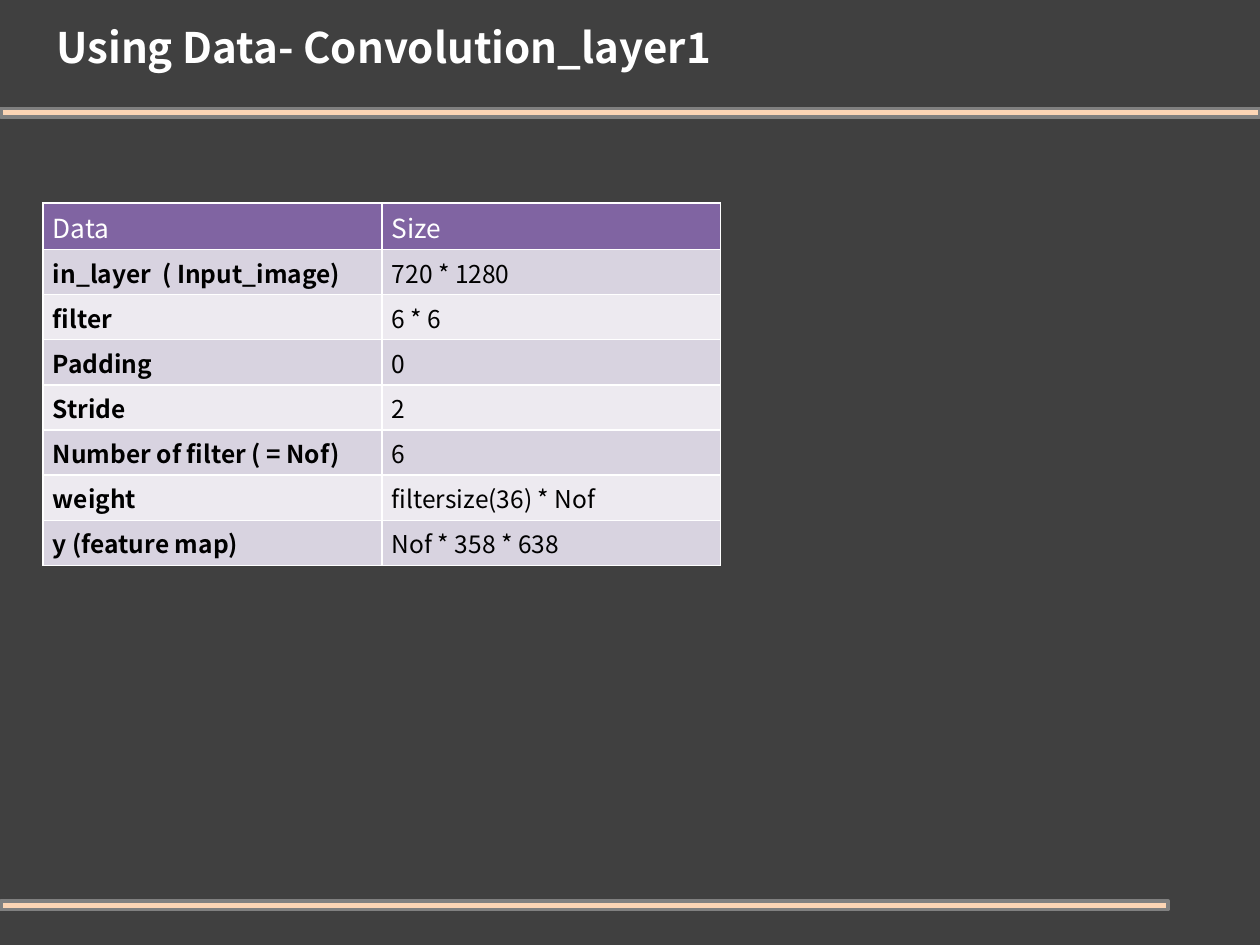
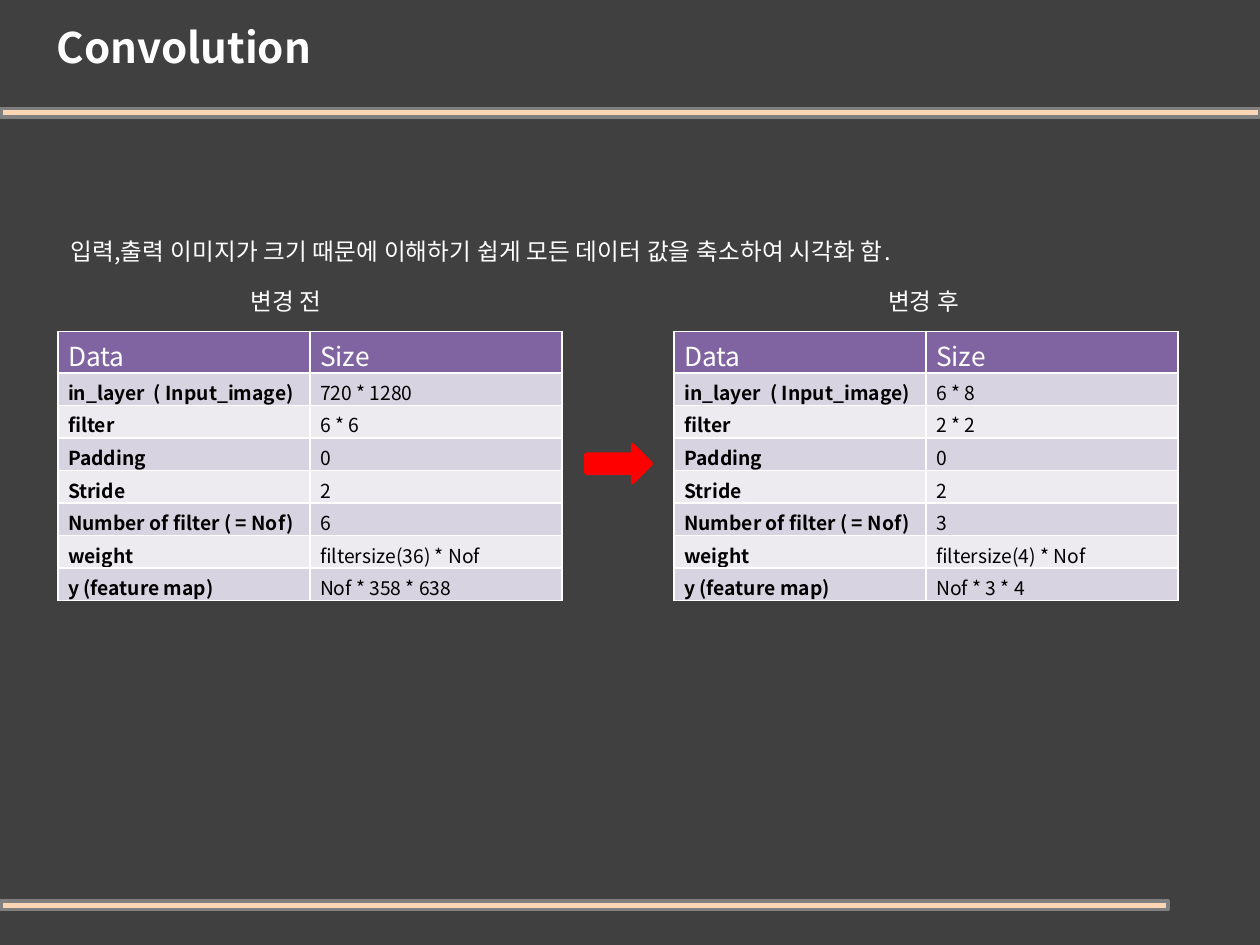
from lxml import etree
from pptx import Presentation
from pptx.dml.color import RGBColor
from pptx.enum.shapes import MSO_SHAPE as SHAPE
from pptx.enum.text import MSO_ANCHOR as ANCHOR
from pptx.oxml.ns import qn
from pptx.util import Inches, Pt

FONT = "Noto Sans CJK KR"
DARK = RGBColor(0x40, 0x40, 0x40)
PEACH = RGBColor(0xFC, 0xD5, 0xB5)
GRAY = RGBColor(0x80, 0x80, 0x80)
WHITE = RGBColor(0xFF, 0xFF, 0xFF)
BLACK = RGBColor(0, 0, 0)
RED = RGBColor(0xFF, 0, 0)
PURPLE = RGBColor(0x80, 0x64, 0xA2)
BANDS = (RGBColor(0xED, 0xEA, 0xF0), RGBColor(0xD8, 0xD3, 0xE0))

LABELS = ("in_layer  ( Input_image)", "filter", "Padding", "Stride",
          "Number of filter ( = Nof)", "weight", "y (feature map)")
FULL_SIZES = ("720 * 1280", "6 * 6", "0", "2", "6",
              "filtersize(36) * Nof", "Nof * 358 * 638")
REDUCED_SIZES = ("6 * 8", "2 * 2", "0", "2", "3",
                 "filtersize(4) * Nof", "Nof * 3 * 4")


def write(tf, text, size=13.5, color=WHITE, bold=False, spacing=0):
    r = tf.paragraphs[0].add_run()
    r.text = text
    r.font.name = FONT
    r.font.size = Pt(size)
    r.font.bold = bold
    r.font.color.rgb = color
    rPr = r._r.get_or_add_rPr()
    etree.SubElement(rPr, qn("a:ea"), typeface=FONT)
    if spacing:
        rPr.set("spc", str(spacing))


def add_text(slide, box, text, wrap=False, anchor=ANCHOR.TOP, **fmt):
    sp = slide.shapes.add_textbox(*map(Inches, box))
    tf = sp.text_frame
    tf.word_wrap = wrap
    tf.vertical_anchor = anchor
    write(tf, text, **fmt)


def add_block(slide, kind, box, fill, line):
    sp = slide.shapes.add_shape(kind, *map(Inches, box))
    sp.shadow.inherit = False
    sp.fill.solid()
    sp.fill.fore_color.rgb = fill
    sp.line.color.rgb = line
    sp.line.width = Pt(2)


def add_borders(cell):
    tcPr = cell._tc.get_or_add_tcPr()
    for i, side in enumerate(("lnL", "lnR", "lnT", "lnB")):
        ln = etree.Element(qn(f"a:{side}"), w=str(Pt(1)))
        fill = etree.SubElement(ln, qn("a:solidFill"))
        etree.SubElement(fill, qn("a:srgbClr"), val=str(WHITE))
        tcPr.insert(i, ln)


def add_size_table(slide, left, top, col_width, height, header_height,
                   sizes, text_size, bottom_inset):
    rows = [("Data", "Size"), *zip(LABELS, sizes)]
    row_height = (height - header_height) / len(sizes)
    table = slide.shapes.add_table(
        len(rows), 2, Inches(left), Inches(top),
        Inches(2 * col_width), Inches(height)).table
    for col in table.columns:
        col.width = Inches(col_width)
    for i, values in enumerate(rows):
        table.rows[i].height = Inches(row_height if i else header_height)
        for j, value in enumerate(values):
            cell = table.cell(i, j)
            cell.margin_left = cell.margin_right = Inches(0.08)
            cell.margin_top = Inches(0.04)
            cell.margin_bottom = Inches(bottom_inset)
            cell.fill.solid()
            cell.fill.fore_color.rgb = BANDS[i % 2] if i else PURPLE
            add_borders(cell)
            if i:
                write(cell.text_frame, value, size=text_size, color=BLACK, bold=j == 0)
            else:
                write(cell.text_frame, value, size=15)


def add_slide(prs, title):
    slide = prs.slides.add_slide(prs.slide_layouts[6])
    bg = slide.background.fill
    bg.solid()
    bg.fore_color.rgb = DARK
    for top, width in ((0.86, 9.99), (7.15, 9.26)):
        add_block(slide, SHAPE.RECTANGLE, (0.01, top, width, 0.07), PEACH, GRAY)
    add_text(slide, (0.35, 0.05, 9.57, 0.64), title, wrap=True,
             anchor=ANCHOR.MIDDLE, size=24, bold=True)
    return slide


def main():
    prs = Presentation()
    prs.slide_width, prs.slide_height = Inches(10), Inches(7.5)

    slide = add_slide(prs, "Using Data- Convolution_layer1")
    add_size_table(slide, 0.34, 1.61, 2.69, 2.88, 0.37, FULL_SIZES, 14, 0.04)

    slide = add_slide(prs, "Convolution")
    add_text(slide, (0.46, 1.83, 7.46, 0.33),
             "입력,출력 이미지가 크기 때문에 이해하기 쉽게 모든 데이터 값을 축소하여 시각화 함.",
             spacing=17)
    for left, heading_left, heading, sizes in (
            (0.46, 1.89, "변경 전", FULL_SIZES),
            (5.35, 6.95, "변경 후", REDUCED_SIZES)):
        add_size_table(slide, left, 2.63, 2, 2.14, 0.33, sizes, 11, 0)
        add_text(slide, (heading_left, 2.23, 0.84, 0.33), heading, spacing=17)
    add_block(slide, SHAPE.RIGHT_ARROW, (4.65, 3.53, 0.52, 0.3), RED, RED)

    prs.save("out.pptx")


if __name__ == "__main__":
    main()
